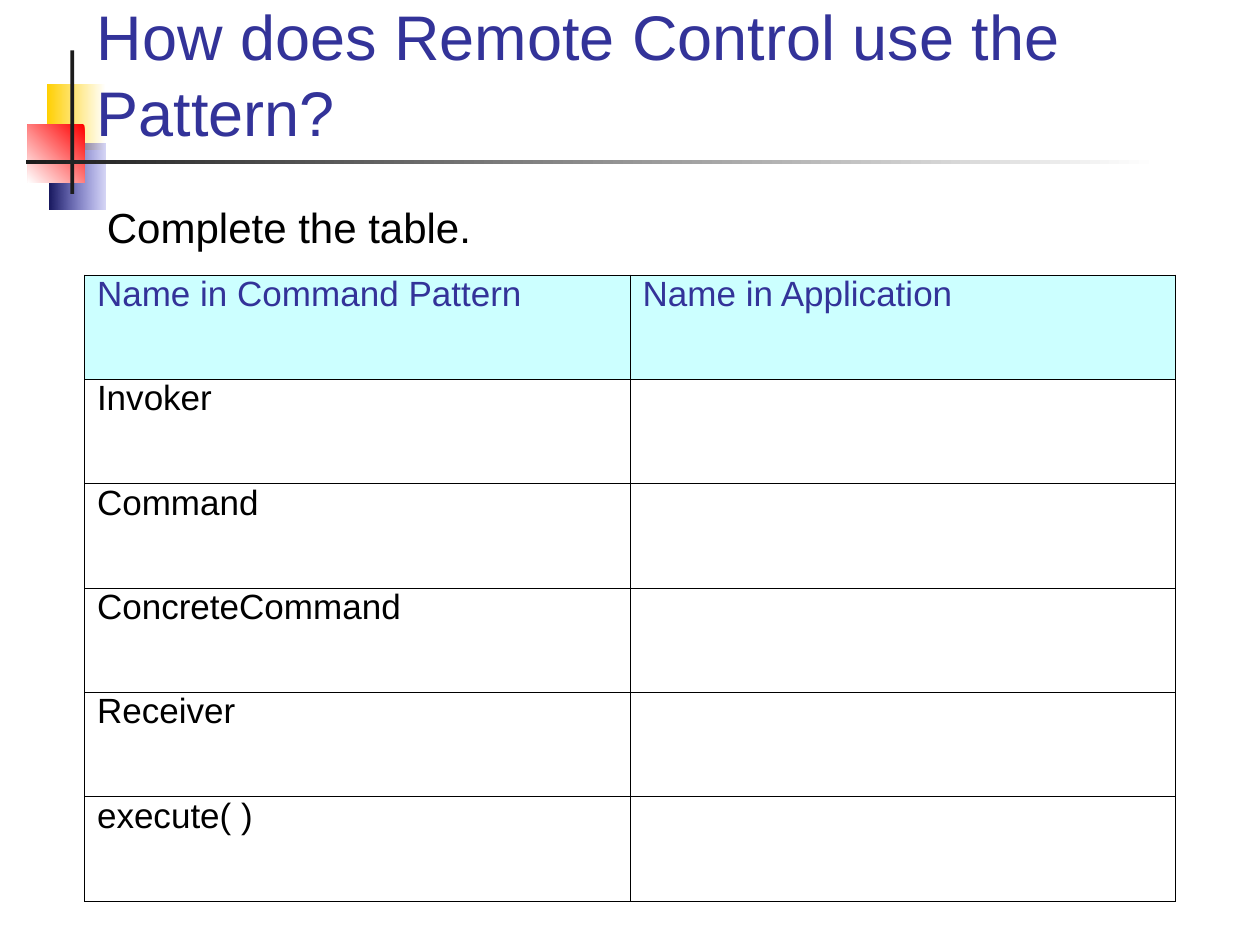
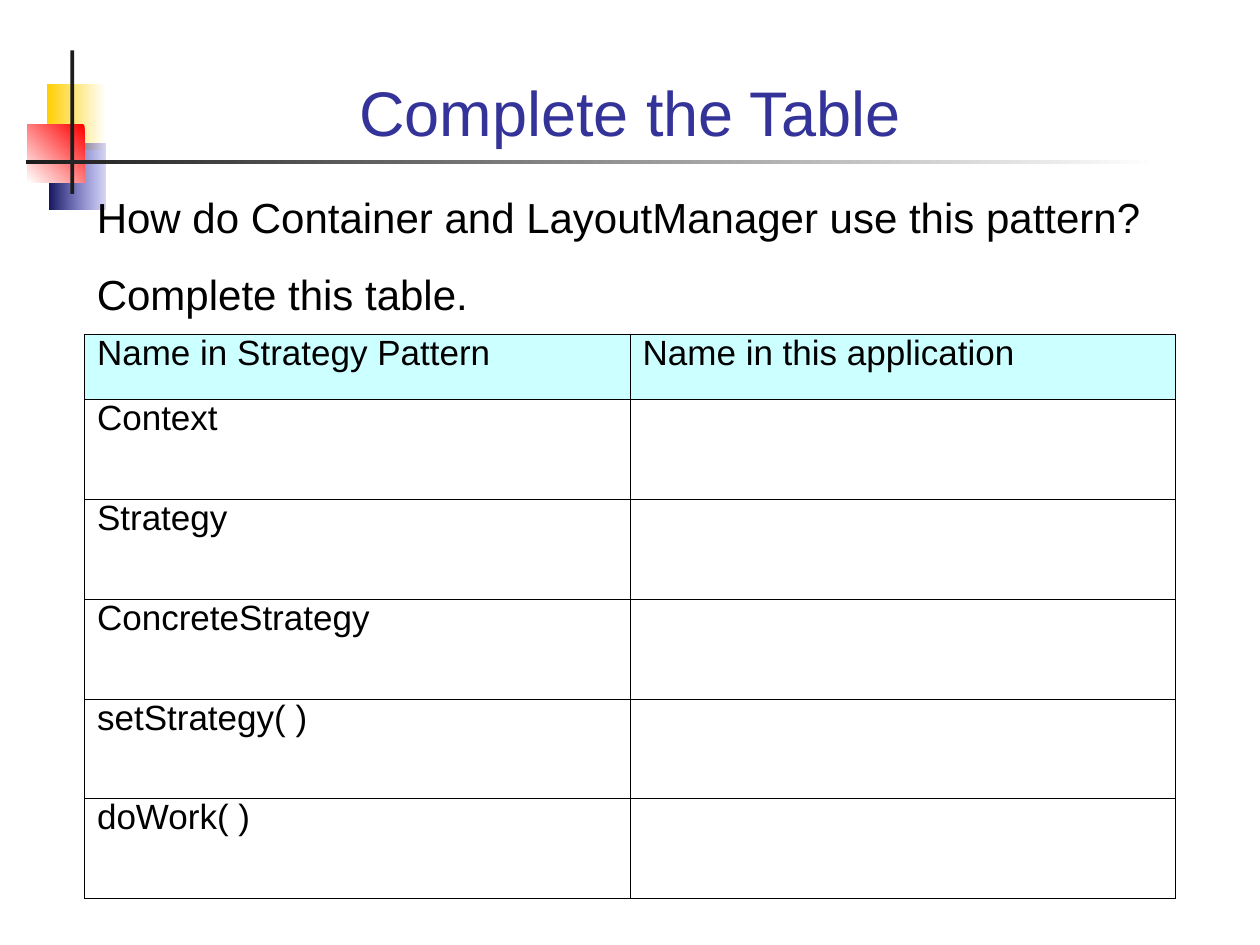
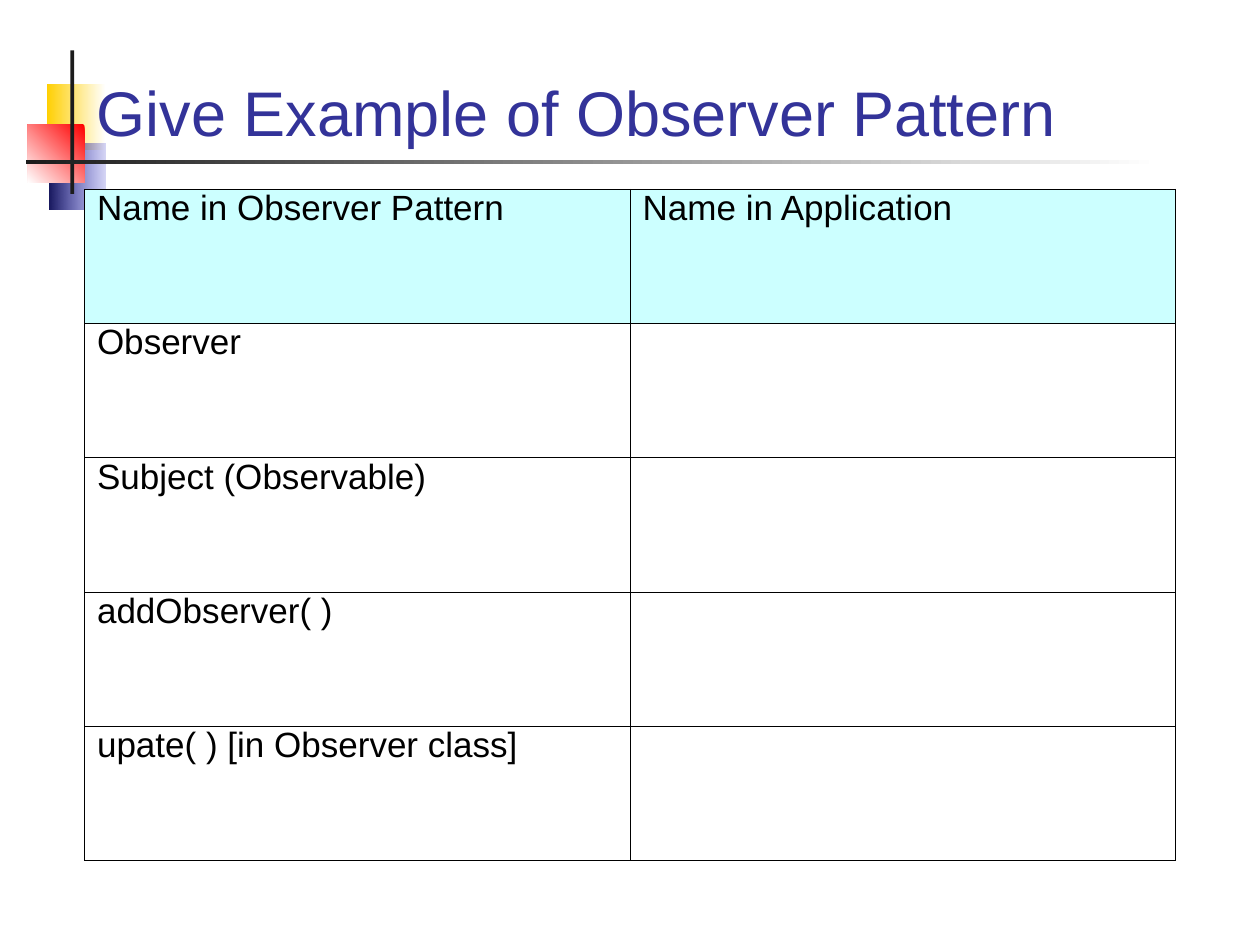
from dataclasses import dataclass
from typing import NamedTuple

from lxml import etree
from pptx import Presentation, util as u
from pptx.dml.color import RGBColor
from pptx.enum import shapes, text
from pptx.oxml.ns import qn

SLIDE_WIDTH, SLIDE_HEIGHT = u.Inches(10), u.Inches(7.5)
FONT = "Arial"
INDIGO, BLACK, CHARCOAL, WHITE = "333399", "000000", "1C1C1C", "FFFFFF"
HEADER_FILL = "CCFFFF"
BORDER_WIDTH = u.Pt(0.06)


class Box(NamedTuple):
    """A frame in percent of the slide's width and height."""
    left: float
    top: float
    width: float
    height: float

    def lengths(self) -> tuple[int, int, int, int]:
        return (across(self.left), down(self.top),
                across(self.width), down(self.height))


class Band(NamedTuple):
    """A decorative rectangle; angle is counterclockwise, opacity in percent."""
    box: Box
    start: str
    end: str
    angle: int = 180
    start_opacity: int = 100


@dataclass
class TableSlide:
    title: str
    header: tuple[str, str]
    names: list[str]
    table_box: Box
    header_height: float
    header_color: str = BLACK
    title_alignment: text.PP_ALIGN = text.PP_ALIGN.LEFT
    prompts: tuple[str, ...] = ()
    prompt_box: Box | None = None


TITLE_BOX = Box(6.7, 3.73, 86.6, 12.67)
BANDS = [
    Band(Box(3.7, 8.93, 4.7, 6.93), WHITE, "FFCF01"),
    Band(Box(3.9, 15.2, 4.5, 6.93), "3333CC", "17175E", start_opacity=20),
    Band(Box(2.2, 13.2, 4.5, 6.13), "FF0000", WHITE, angle=225),
    Band(Box(5.6, 5.33, 0.3, 15.2), CHARCOAL, CHARCOAL),
    Band(Box(2.1, 16.93, 89.9, 0.4), WHITE, CHARCOAL),
]
TABLE_SLIDES = [
    TableSlide(
        title="How does Remote Control use the Pattern?",
        header=("Name in Command Pattern", "Name in Application"),
        names=["Invoker", "Command", "ConcreteCommand", "Receiver", "execute( )"],
        table_box=Box(6.7, 29.07, 86.6, 66.27),
        header_height=11.05,
        header_color=INDIGO,
        prompts=("Complete the table.",),
        prompt_box=Box(7.5, 20.67, 85.8, 6.67),
    ),
    TableSlide(
        title="Complete the Table",
        header=("Name in Strategy Pattern", "Name in this application"),
        names=["Context", "Strategy", "ConcreteStrategy", "setStrategy( )", "doWork( )"],
        table_box=Box(6.7, 35.33, 86.6, 59.73),
        header_height=6.93,
        title_alignment=text.PP_ALIGN.CENTER,
        prompts=("How do Container and LayoutManager use this pattern?",
                 "Complete this table."),
        prompt_box=Box(6.7, 19.6, 87.4, 14.8),
    ),
    TableSlide(
        title="Give Example of Observer Pattern",
        header=("Name in Observer Pattern", "Name in Application"),
        names=["Observer", "Subject (Observable)", "addObserver( )",
               "upate( ) [in Observer class]"],
        table_box=Box(6.7, 20, 86.6, 71.07),
        header_height=14.21,
    ),
]


def across(percent: float) -> int:
    return round(SLIDE_WIDTH * percent / 100)


def down(percent: float) -> int:
    return round(SLIDE_HEIGHT * percent / 100)


def rgb(color: str) -> RGBColor:
    return RGBColor.from_string(color)


def add_run(paragraph, words: str, size: float, color: str) -> None:
    run = paragraph.add_run()
    run.text = words
    run.font.name = FONT
    run.font.size = u.Pt(size)
    run.font.color.rgb = rgb(color)


def add_band(slide, band: Band) -> None:
    shape = slide.shapes.add_shape(shapes.MSO_SHAPE.RECTANGLE, *band.box.lengths())
    shape.shadow.inherit = False
    shape.line.fill.background()
    if band.start == band.end:
        shape.fill.solid()
        shape.fill.fore_color.rgb = rgb(band.start)
        return
    shape.fill.gradient()
    shape.fill.gradient_angle = band.angle
    for stop, color, position in zip(shape.fill.gradient_stops,
                                     (band.start, band.end), (0, 1)):
        stop.color.rgb = rgb(color)
        stop.position = position
    if band.start_opacity < 100:
        start_color = next(shape._element.iter(qn("a:srgbClr")))
        etree.SubElement(start_color, qn("a:alpha"), val=str(band.start_opacity * 1000))


def add_text_frame(slide, box: Box):
    frame = slide.shapes.add_textbox(*box.lengths()).text_frame
    frame.word_wrap = True
    return frame


def add_title(slide, words: str, alignment: text.PP_ALIGN) -> None:
    frame = add_text_frame(slide, TITLE_BOX)
    frame.auto_size = text.MSO_AUTO_SIZE.NONE
    frame.vertical_anchor = text.MSO_ANCHOR.BOTTOM
    paragraph = frame.paragraphs[0]
    paragraph.alignment = alignment
    add_run(paragraph, words, 36, INDIGO)


def add_prompts(slide, prompts: tuple[str, ...], box: Box) -> None:
    frame = add_text_frame(slide, box)
    frame.auto_size = text.MSO_AUTO_SIZE.SHAPE_TO_FIT_TEXT
    for index, prompt in enumerate(prompts):
        paragraph = frame.add_paragraph() if index else frame.paragraphs[0]
        if index:
            paragraph.space_before = u.Pt(15)
        add_run(paragraph, prompt, 24, BLACK)


def add_borders(cell) -> None:
    properties = cell._tc.get_or_add_tcPr()
    for side in ("a:lnL", "a:lnR", "a:lnT", "a:lnB"):
        line = etree.SubElement(properties, qn(side), w=str(BORDER_WIDTH))
        fill = etree.SubElement(line, qn("a:solidFill"))
        etree.SubElement(fill, qn("a:srgbClr"), val=BLACK)


def add_name_table(slide, content: TableSlide) -> None:
    rows = [content.header] + [(name, "") for name in content.names]
    table = slide.shapes.add_table(len(rows), 2, *content.table_box.lengths()).table
    table.first_row = table.horz_banding = False
    name_height = (content.table_box.height - content.header_height) / len(content.names)
    for row_index, row in enumerate(rows):
        is_header = row_index == 0
        table.rows[row_index].height = down(
            content.header_height if is_header else name_height)
        for column_index, words in enumerate(row):
            cell = table.cell(row_index, column_index)
            add_borders(cell)
            if is_header:
                cell.fill.solid()
                cell.fill.fore_color.rgb = rgb(HEADER_FILL)
            else:
                cell.fill.background()
            if words:
                paragraph = cell.text_frame.paragraphs[0]
                paragraph.line_spacing = 0.81
                add_run(paragraph, words, 20,
                        content.header_color if is_header else BLACK)


def add_table_slide(presentation, content: TableSlide) -> None:
    slide = presentation.slides.add_slide(presentation.slide_layouts[6])
    for band in BANDS:
        add_band(slide, band)
    add_title(slide, content.title, content.title_alignment)
    add_name_table(slide, content)
    if content.prompt_box:
        add_prompts(slide, content.prompts, content.prompt_box)


def main() -> None:
    presentation = Presentation()
    presentation.slide_width, presentation.slide_height = SLIDE_WIDTH, SLIDE_HEIGHT
    for content in TABLE_SLIDES:
        add_table_slide(presentation, content)
    presentation.save("out.pptx")


if __name__ == "__main__":
    main()
